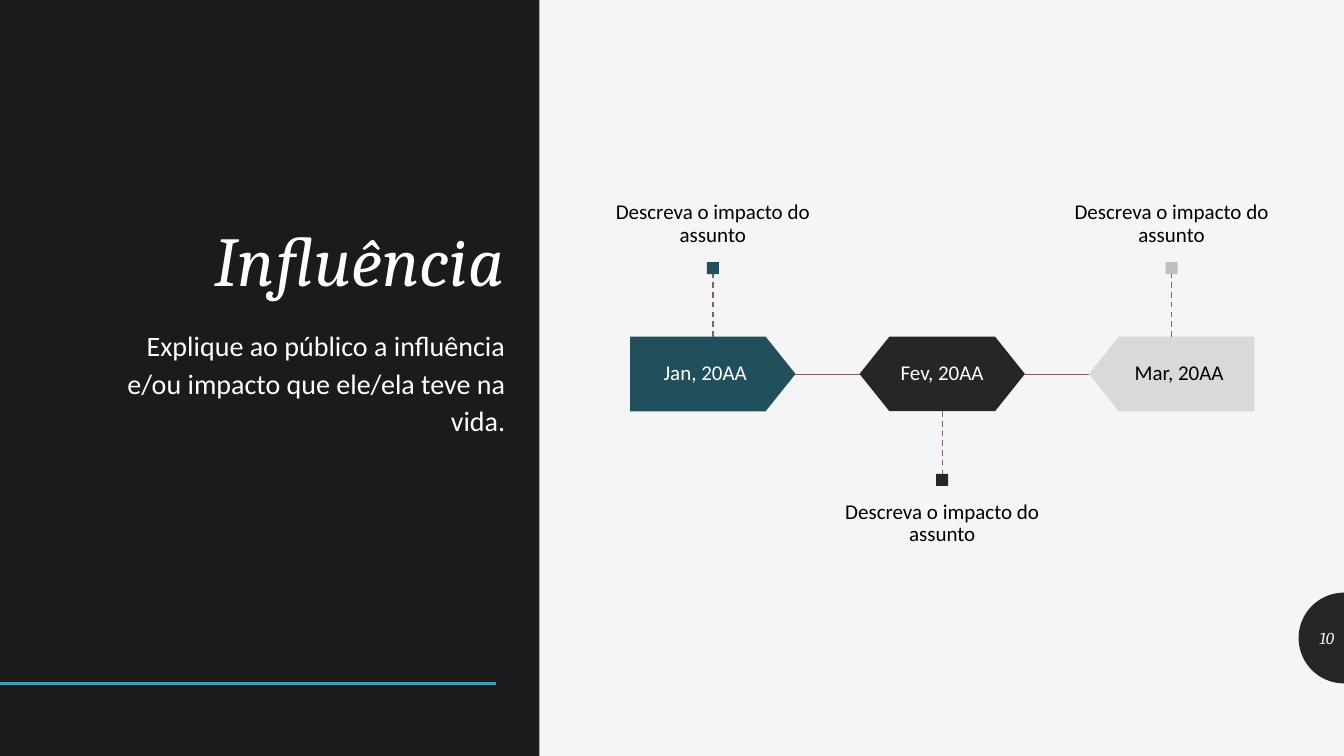
from math import cos, pi, sin

from lxml import etree
from pptx import Presentation
from pptx.dml.color import RGBColor
from pptx.enum.dml import MSO_LINE_DASH_STYLE as DASH
from pptx.enum.shapes import MSO_CONNECTOR, MSO_SHAPE as SHAPE
from pptx.enum.text import MSO_ANCHOR as ANCHOR, PP_ALIGN as ALIGN
from pptx.oxml.ns import qn
from pptx.util import Inches, Pt

PAPER = RGBColor(0xF5, 0xF5, 0xF5)
PANEL = RGBColor(0x1D, 0x1A, 0x1D)
CHARCOAL = RGBColor(0x26, 0x26, 0x26)
TEAL = RGBColor(0x22, 0x4F, 0x5C)
AQUA = RGBColor(0x43, 0x9E, 0xB7)
PLUM = RGBColor(0x83, 0x5B, 0x82)
SILVER = RGBColor(0xD9, 0xD9, 0xD9)
GREY = RGBColor(0xBF, 0xBF, 0xBF)
WHITE = RGBColor(0xFF, 0xFF, 0xFF)
BLACK = RGBColor(0x00, 0x00, 0x00)

# Content
TITLE = "Influência"
INTRO = "Explique ao público a influência e/ou impacto que ele/ela teve na vida."
PAGE = "10"
IMPACT = "Descreva o impacto do assunto"
# date, shape, rotation, fill, marker, text colour, label shift, label width, note above
STEPS = [
    ("Jan, 20AA", SHAPE.PENTAGON, 0, TEAL, TEAL, WHITE, -0.075, 1.49, True),
    ("Fev, 20AA", SHAPE.HEXAGON, 0, CHARCOAL, CHARCOAL, WHITE, 0, 1.17, False),
    ("Mar, 20AA", SHAPE.PENTAGON, 180, SILVER, GREY, BLACK, 0.075, 1.49, True),
]

# Text formats
TITLE_FONT = {"name": "Cambria", "size": Pt(50), "italic": True}
INTRO_FONT = {"name": "Calibri", "size": Pt(20)}
STEP_FONT = {"name": "Calibri", "size": Pt(15)}
PAGE_FONT = {"name": "Cambria", "size": Pt(12), "italic": True}

# Layout, in inches
WIDTH, HEIGHT = 13.33, 7.5
FIRST_X, PITCH = 7.07, 2.275
STEP_W, STEP_H, STEP_TOP = 1.64, 0.74, 3.34
STEM, MARKER = 0.62, 0.12
NOTE_W, NOTE_H = 2.28, 1.98
DISC_Y, DISC_R = 6.33, 0.45

prs = Presentation()
prs.slide_width, prs.slide_height = Inches(WIDTH), Inches(HEIGHT)
s = prs.slides.add_slide(prs.slide_layouts[6])
s.background.fill.solid()
s.background.fill.fore_color.rgb = PAPER


def paint(sp, color):
    sp.shadow.inherit = False
    sp.fill.solid()
    sp.fill.fore_color.rgb = color
    sp.line.fill.background()


def add_block(kind, x, y, w, h, color):
    sp = s.shapes.add_shape(kind, Inches(x), Inches(y), Inches(w), Inches(h))
    paint(sp, color)
    return sp


def add_line(x1, y1, x2, y2, color, width, dash=None):
    line = s.shapes.add_connector(MSO_CONNECTOR.STRAIGHT, Inches(x1), Inches(y1),
                                  Inches(x2), Inches(y2))
    line.line.color.rgb = color
    line.line.width = Pt(width)
    line.line.dash_style = dash
    etree.SubElement(line._element.spPr, qn("a:effectLst"))


def add_text(text, x, y, w, h, font, color, align, anchor,
             spacing=1.0, before=0, inset=(0.1, 0.05)):
    tf = s.shapes.add_textbox(Inches(x), Inches(y), Inches(w), Inches(h)).text_frame
    tf.word_wrap, tf.vertical_anchor = True, anchor
    tf.margin_left = tf.margin_right = Inches(inset[0])
    tf.margin_top = tf.margin_bottom = Inches(inset[1])
    p = tf.paragraphs[0]
    p.alignment, p.line_spacing, p.space_before = align, spacing, Pt(before)
    r = p.add_run()
    r.text = text
    for key, value in font.items():
        setattr(r.font, key, value)
    r.font.color.rgb = color


# Dark panel with title and introduction
add_block(SHAPE.RECTANGLE, 0, 0, 5.35, HEIGHT, PANEL)
add_line(0, 6.78, 4.92, 6.78, AQUA, 2)
add_text(TITLE, 0.91, 0.61, 4.19, 2.43, TITLE_FONT, WHITE, ALIGN.RIGHT, ANCHOR.BOTTOM, 0.9)
add_text(INTRO, 0.91, 3.17, 4.2, 3.12, INTRO_FONT, WHITE, ALIGN.RIGHT, ANCHOR.TOP, 1.12, 9)

# Timeline
step_bottom, step_mid = STEP_TOP + STEP_H, STEP_TOP + STEP_H / 2
for i, (date, kind, turn, fill, mark, ink, shift, label_w, above) in enumerate(STEPS):
    cx = FIRST_X + i * PITCH
    left, right = cx - STEP_W / 2, cx + STEP_W / 2
    step = add_block(kind, left, STEP_TOP, STEP_W, STEP_H, fill)
    step.adjustments[0] = 0.4
    step.rotation = turn
    add_text(date, cx + shift - label_w / 2, STEP_TOP, label_w, STEP_H, STEP_FONT, ink,
             ALIGN.CENTER, ANCHOR.MIDDLE, 0.9, inset=(0.12, 0.12))
    if i < len(STEPS) - 1:
        add_line(right, step_mid, left + PITCH, step_mid, PLUM, 0.5)

    # Stem, marker and note, above or below the step
    if above:
        edge, stem_end = STEP_TOP, STEP_TOP - STEM
        marker_y = stem_end - MARKER
        note_y, anchor = marker_y - NOTE_H, ANCHOR.BOTTOM
    else:
        edge, stem_end = step_bottom, step_bottom + STEM
        marker_y = stem_end
        note_y, anchor = marker_y + MARKER, ANCHOR.TOP
    add_line(cx, edge, cx, stem_end, PLUM, 1, DASH.DASH)
    add_block(SHAPE.RECTANGLE, cx - MARKER / 2, marker_y, MARKER, MARKER, mark)
    add_text(IMPACT, cx - NOTE_W / 2, note_y, NOTE_W, NOTE_H, STEP_FONT, BLACK,
             ALIGN.CENTER, anchor, 0.9, inset=(0, 0.15))

# Half disc with page number
arc = [(Inches(WIDTH - DISC_R * sin(pi * k / 48)), Inches(DISC_Y - DISC_R * cos(pi * k / 48)))
       for k in range(49)]
outline = s.shapes.build_freeform(*arc[0])
outline.add_line_segments(arc[1:], close=True)
paint(outline.convert_to_shape(), CHARCOAL)
add_text(PAGE, WIDTH - DISC_R, 6.13, DISC_R, 0.4, PAGE_FONT, PAPER, ALIGN.RIGHT, ANCHOR.MIDDLE)

prs.save("out.pptx")
